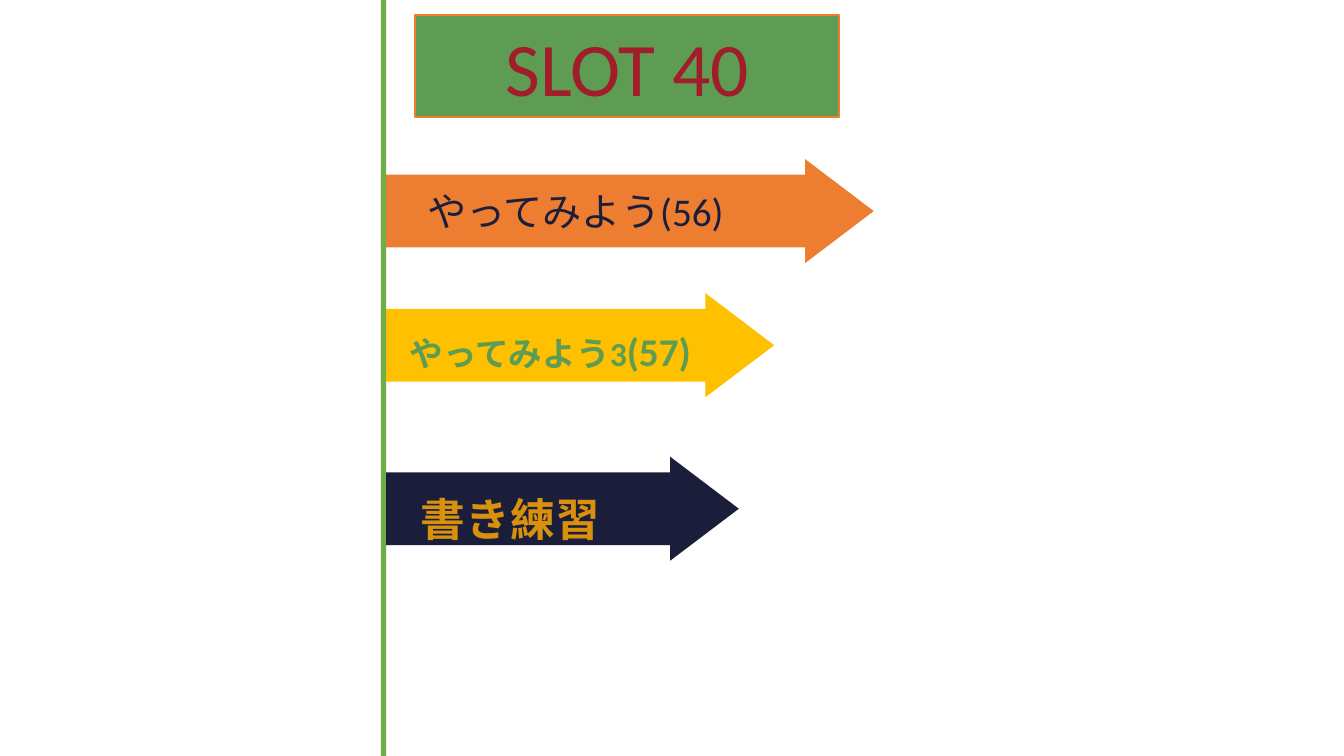
"""Build the SLOT 40 lesson agenda slide."""
import pptx
import pptx.dml.color
import pptx.enum.shapes
import pptx.enum.text
import pptx.util

COLOURS = {
    "leaf": "5E9C53",
    "stem": "70AD47",
    "orange": "ED7D31",
    "yellow": "FFC000",
    "navy": "1A1E3B",
    "red": "A11D2B",
    "amber": "D9910B",
}
SHAPES = pptx.enum.shapes.MSO_SHAPE
ALIGN = pptx.enum.text.PP_ALIGN


class AgendaSlide:
    """Hold the style and the current slide."""

    font_name = "Calibri"
    arrow_height = 2.62
    arrow_adjustments = (0.7, 0.66)

    def __init__(self, presentation):
        """Add a blank slide."""
        self.slide = presentation.slides.add_slide(presentation.slide_layouts[6])

    def colour(self, name):
        """Return a named colour."""
        return pptx.dml.color.RGBColor.from_string(COLOURS[name])

    def add_shape(self, kind, box, fill, line=None):
        """Add a filled preset shape."""
        shape = self.slide.shapes.add_shape(kind, *map(pptx.util.Cm, box))
        shape.shadow.inherit = False
        shape.fill.solid()
        shape.fill.fore_color.rgb = self.colour(fill)
        if line:
            shape.line.color.rgb = self.colour(line)
            shape.line.width = pptx.util.Pt(1)
        else:
            shape.line.fill.background()
        return shape

    def add_arrow(self, left, top, width, fill):
        """Add a right arrow of the common height."""
        box = (left, top, width, self.arrow_height)
        shape = self.add_shape(SHAPES.RIGHT_ARROW, box, fill)
        for index, value in enumerate(self.arrow_adjustments):
            shape.adjustments[index] = value

    def add_text(self, shape, runs, colour, bold=False, alignment=ALIGN.LEFT):
        """Put (text, size) runs into a shape."""
        shape.text_frame.word_wrap = True
        paragraph = shape.text_frame.paragraphs[0]
        paragraph.alignment = alignment
        for text, size in runs:
            run = paragraph.add_run()
            run.text = text
            run.font.color.rgb = self.colour(colour)
            formats = {"name": self.font_name, "size": pptx.util.Pt(size), "bold": bold}
            for attribute, value in formats.items():
                setattr(run.font, attribute, value)

    def add_label(self, box, runs, colour, bold=False):
        """Add a text box."""
        shape = self.slide.shapes.add_textbox(*map(pptx.util.Cm, box))
        self.add_text(shape, runs, colour, bold)

    def add_title(self, box, text):
        """Add the framed title."""
        shape = self.add_shape(SHAPES.RECTANGLE, box, "leaf", "orange")
        self.add_text(shape, [(text, 54)], "red", alignment=ALIGN.CENTER)


def main():
    """Build and save the presentation."""
    presentation = pptx.Presentation()
    presentation.slide_width = pptx.util.Cm(33.87)
    presentation.slide_height = pptx.util.Cm(19.05)
    agenda = AgendaSlide(presentation)

    agenda.add_arrow(9.6, 4.01, 12.42, "orange")
    agenda.add_arrow(9.6, 7.39, 9.91, "yellow")
    agenda.add_shape(SHAPES.RECTANGLE, (9.6, 0, 0.13, 19.1), "stem")
    agenda.add_arrow(9.73, 11.51, 8.89, "navy")

    agenda.add_title((10.46, 0.38, 10.69, 2.57), "SLOT 40")
    agenda.add_label((10.52, 4.6, 14.15, 1.45), [("やってみよう(56)", 28)], "navy")
    agenda.add_label((10.08, 8.13, 11.46, 1.45),
                     [("やってみよう3", 24), ("(57)", 28)], "leaf", bold=True)
    agenda.add_label((10.36, 12.27, 8.26, 1.63), [("書き練習", 32)], "amber", bold=True)

    presentation.save("out.pptx")


if __name__ == "__main__":
    main()
